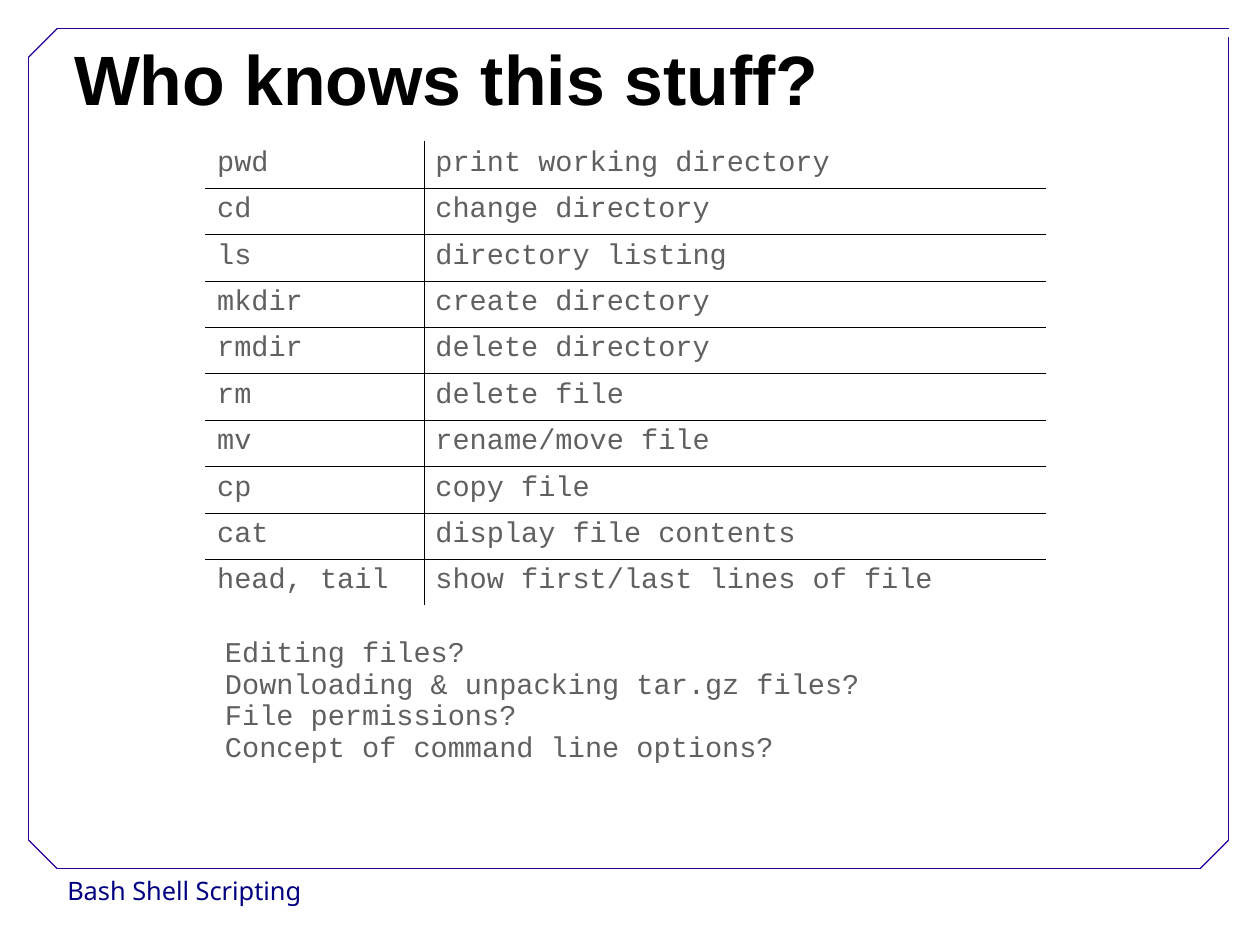
from dataclasses import dataclass

from lxml.etree import SubElement
from pptx import Presentation
from pptx.dml.color import RGBColor
from pptx.enum.shapes import MSO_CONNECTOR, MSO_SHAPE
from pptx.enum.text import MSO_ANCHOR, PP_ALIGN
from pptx.oxml import parse_xml
from pptx.oxml.ns import nsdecls, qn
from pptx.util import Inches, Pt


@dataclass(frozen=True)
class Style:
    font: str
    size: float
    color: str
    bold: bool = False
    spacing: float = 1.0


@dataclass(frozen=True)
class Theme:
    title: Style = Style("Arial", 44, "000000", True, 0.93)
    command: Style = Style("Courier New", 18, "606060")
    question: Style = Style("Courier New", 18, "606060", spacing=0.93)
    footer: Style = Style("Noto Sans", 16, "000080", spacing=1.02)
    frame: str = "280099"
    frame_width: float = 0.75
    rule: str = "000000"
    rule_width: float = 0.45
    paper: str = "FFFFFF"


THEME = Theme()
UNITS_PER_INCH = 576
SLIDE_UNITS = (6350, 4762)

COMMANDS = [
    ("pwd", "print working directory"),
    ("cd", "change directory"),
    ("ls", "directory listing"),
    ("mkdir", "create directory"),
    ("rmdir", "delete directory"),
    ("rm", "delete file"),
    ("mv", "rename/move file"),
    ("cp", "copy file"),
    ("cat", "display file contents"),
    ("head, tail", "show first/last lines of file"),
]

QUESTIONS = [
    "Editing files?",
    "Downloading & unpacking tar.gz files?",
    "File permissions?",
    "Concept of command line options?",
]


def format_text(tf, style):
    for p in tf.paragraphs:
        p.alignment = PP_ALIGN.LEFT
        p.line_spacing = style.spacing
        for r in p.runs:
            r.font.name = style.font
            r.font.size = Pt(style.size)
            r.font.bold = style.bold
            r.font.color.rgb = RGBColor.from_string(style.color)


def fill_text(sp, text, style, wrap):
    tf = sp.text_frame
    tf.word_wrap = wrap
    tf.vertical_anchor = MSO_ANCHOR.TOP
    tf.text = text
    format_text(tf, style)


def add_text(s, box, text, style, wrap=True):
    fill_text(s.shapes.add_textbox(*map(Inches, box)), text, style, wrap)


def add_footer(s, box, text):
    sp = s.shapes.add_shape(MSO_SHAPE.RECTANGLE, *map(Inches, box))
    sp.shadow.inherit = False
    sp.fill.solid()
    sp.fill.fore_color.rgb = RGBColor.from_string(THEME.paper)
    sp.line.fill.background()
    fill_text(sp, text, THEME.footer, False)


def add_frame(s, box, cut=0.25, gap=0.07):
    left, top, width, height = box
    right, bottom = left + width, top + height
    lines = [
        ((left + cut, bottom), (right - cut, bottom)),
        ((left, bottom - cut), (left, top + cut)),
        ((left + cut, top), (right, top)),
        ((right, bottom - cut), (right, top + gap)),
        ((left, top + cut), (left + cut, top)),
        ((right - cut, bottom), (right, bottom - cut)),
        ((left, bottom - cut), (left + cut, bottom)),
    ]
    for start, end in lines:
        sp = s.shapes.add_connector(
            MSO_CONNECTOR.STRAIGHT, *map(Inches, start + end))
        sp.line.color.rgb = RGBColor.from_string(THEME.frame)
        sp.line.width = Pt(THEME.frame_width)
        SubElement(sp._element.spPr, qn("a:effectLst"))


def set_borders(cell, colors):
    tcPr = cell._tc.get_or_add_tcPr()
    for i, (side, color) in enumerate(zip("LRTB", colors)):
        tcPr.insert(i, parse_xml(
            f'<a:ln{side} {nsdecls("a")} w="{Pt(THEME.rule_width)}">'
            f'<a:solidFill><a:srgbClr val="{color}"/></a:solidFill>'
            f'</a:ln{side}>'))


def add_commands(s, box, first_col=1.91):
    rows, cols = len(COMMANDS), len(COMMANDS[0])
    table = s.shapes.add_table(rows, cols, *map(Inches, box)).table
    table.first_row = table.horz_banding = False
    table.columns[0].width = Inches(first_col)
    table.columns[1].width = Inches(box[2] - first_col)
    for i, row in enumerate(COMMANDS):
        for j, text in enumerate(row):
            cell = table.cell(i, j)
            cell.text_frame.text = text
            format_text(cell.text_frame, THEME.command)
            cell.fill.solid()
            cell.fill.fore_color.rgb = RGBColor.from_string(THEME.paper)
            outer = (j == 0, j == cols - 1, i == 0, i == rows - 1)
            set_borders(cell, [THEME.paper if o else THEME.rule for o in outer])


def main():
    prs = Presentation()
    prs.slide_width, prs.slide_height = (
        Inches(units / UNITS_PER_INCH) for units in SLIDE_UNITS)
    s = prs.slides.add_slide(prs.slide_layouts[6])
    add_footer(s, (0.49, 7.6, 2.15, 0.4), "Bash Shell Scripting")
    add_frame(s, (0.25, 0.25, 10.5, 7.35))
    add_text(s, (0.55, 0.33, 9.92, 0.8), "Who knows this stuff?", THEME.title)
    add_commands(s, (1.8, 1.24, 7.35, 4.06))
    add_text(s, (1.87, 5.52, 5.75, 1.22), "\n".join(QUESTIONS),
             THEME.question, wrap=False)
    prs.save("out.pptx")


if __name__ == "__main__":
    main()
